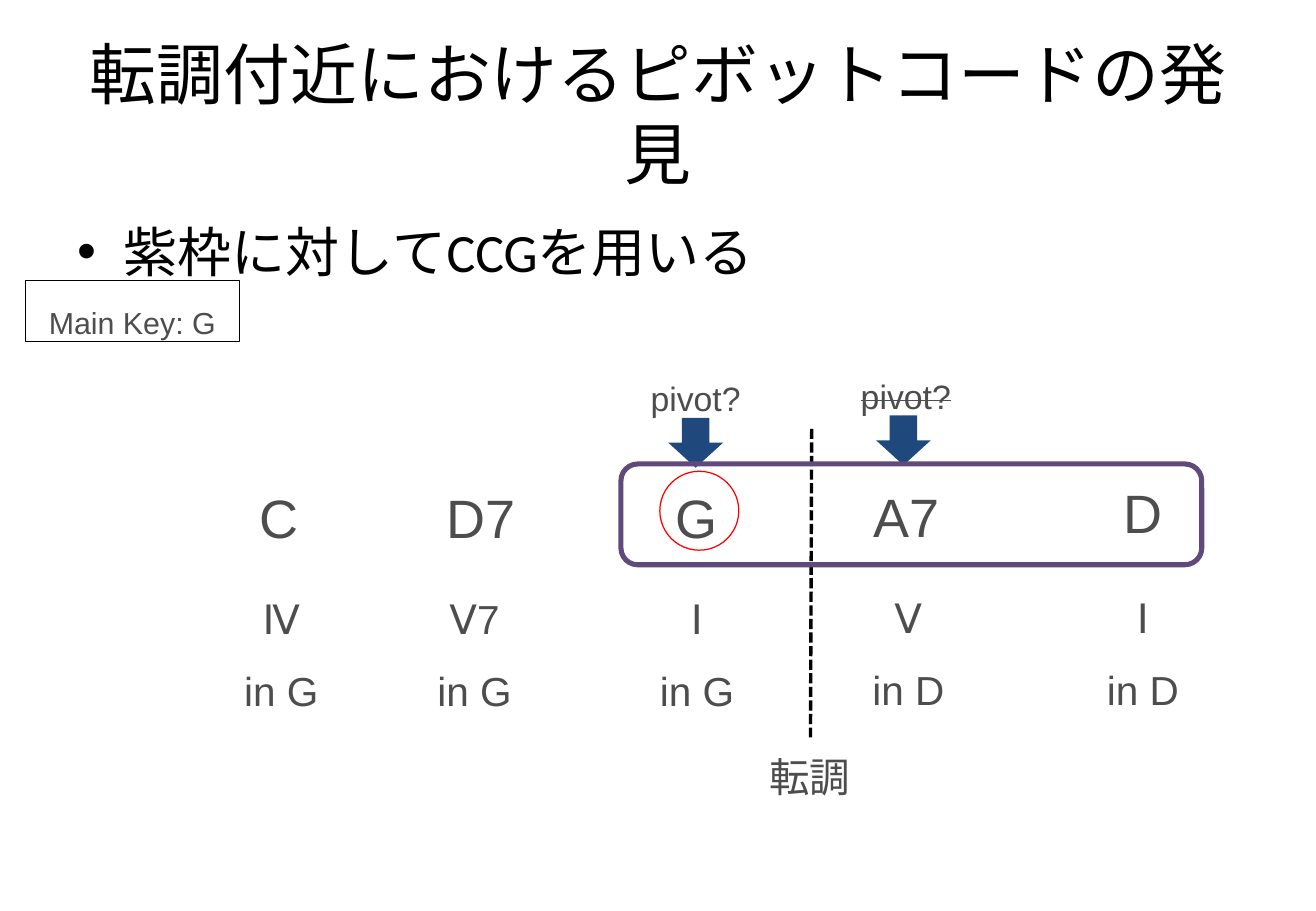
import pptx
import pptx.dml.color
import pptx.enum.dml
import pptx.enum.lang
import pptx.enum.shapes
import pptx.enum.text
import pptx.oxml
import pptx.oxml.ns
import pptx.util

RGBColor = pptx.dml.color.RGBColor
Pt = pptx.util.Pt
PresetShape = pptx.enum.shapes.MSO_SHAPE
Align = pptx.enum.text.PP_ALIGN
Anchor = pptx.enum.text.MSO_ANCHOR

BLACK = RGBColor(0x00, 0x00, 0x00)
GREY = RGBColor(0x4D, 0x4D, 0x4D)
NAVY = RGBColor(0x1F, 0x49, 0x7D)
PURPLE = RGBColor(0x60, 0x4A, 0x7B)
RED = RGBColor(0xFF, 0x00, 0x00)

# The slide is a grid of 108.3 columns by 75 rows, each a tenth of an inch.
COLUMNS, ROWS = 108.3, 75
CHORD_WIDTH, LABEL_WIDTH = 9.7, 18.9

# chord, centre column, row, degree, key, centre column and row of the degree
PROGRESSION = [
    ("C", 22.95, 36.8, "Ⅳ", "in G", 23.15, 46.5),
    ("D7", 39.55, 36.8, "Ⅴ7", "in G", 39.05, 46.5),
    ("G", 57.35, 36.8, "Ⅰ", "in G", 57.35, 46.5),
    ("A7", 74.65, 36.7, "Ⅴ", "in D", 74.75, 46.4),
    ("D", 94.05, 36.4, "Ⅰ", "in D", 94.05, 46.4),
]


def grid(units):
    return pptx.util.Inches(units / 10)


def box(left, top, width, height):
    return [grid(units) for units in (left, top, width, height)]


def add_run(paragraph, text, size, face, colour):
    run = paragraph.add_run()
    run.text = text
    run.font.size = Pt(size)
    run.font.name = face
    run.font.color.rgb = colour
    if not text.isascii():
        run.font.language_id = pptx.enum.lang.MSO_LANGUAGE_ID.JAPANESE
    return run


def add_heading(slide, area, text, size, anchor):
    """Add Calibri text and return its paragraph."""
    frame = slide.shapes.add_textbox(*box(*area)).text_frame
    frame.word_wrap = True
    frame.vertical_anchor = anchor
    paragraph = frame.paragraphs[0]
    add_run(paragraph, text, size, "Calibri", BLACK)
    return paragraph


def add_bullet(paragraph, indent):
    properties = paragraph._p.get_or_add_pPr()
    properties.set("marL", str(indent))
    properties.set("indent", str(-indent))
    namespaces = pptx.oxml.ns.nsdecls("a")
    for tag in ('buFont typeface="Arial"', 'buChar char="•"'):
        properties.append(pptx.oxml.parse_xml(f"<a:{tag} {namespaces}/>"))


def write_lines(frame, lines, size):
    """Write centred grey lines and return their runs."""
    frame.word_wrap = True
    frame.vertical_anchor = Anchor.TOP
    gap = size / 10
    frame.margin_top = Pt(3.6 + gap)
    runs = []
    for index, line in enumerate(lines):
        paragraph = frame.add_paragraph() if index else frame.paragraphs[0]
        paragraph.alignment = Align.CENTER
        paragraph.line_spacing = 1.4
        if index:
            paragraph.space_before = Pt(gap)
        runs.append(add_run(paragraph, line, size, "Arial", GREY))
    return runs


def add_label(slide, centre, top, width, height, lines, size):
    area = box(centre - width / 2, top, width, height)
    return write_lines(slide.shapes.add_textbox(*area).text_frame, lines, size)


def add_outline(slide, kind, area, colour, weight):
    outline = slide.shapes.add_shape(kind, *box(*area))
    outline.shadow.inherit = False
    outline.fill.background()
    outline.line.color.rgb = colour
    outline.line.width = Pt(weight)
    return outline


def add_pivot_arrow(slide, left, top):
    arrow = slide.shapes.add_shape(PresetShape.DOWN_ARROW, *box(left, top, 4.5, 4.1))
    arrow.shadow.inherit = False
    arrow.fill.solid()
    arrow.fill.fore_color.rgb = NAVY
    arrow.line.fill.background()


def add_modulation_line(slide):
    ends = [grid(units) for units in (66.8, 35.3, 66.7, 60.7)]
    border = slide.shapes.add_connector(pptx.enum.shapes.MSO_CONNECTOR.STRAIGHT, *ends)
    border.line.color.rgb = BLACK
    border.line.width = Pt(2)
    border.line.dash_style = pptx.enum.dml.MSO_LINE.SQUARE_DOT
    namespaces = pptx.oxml.ns.nsdecls("a")
    border._element.spPr.append(pptx.oxml.parse_xml(f"<a:effectLst {namespaces}/>"))


def main():
    deck = pptx.Presentation()
    deck.slide_width, deck.slide_height = grid(COLUMNS), grid(ROWS)
    slide = deck.slides.add_slide(deck.slide_layouts[6])

    title = add_heading(slide, (5.4, 3, 97.5, 12.5),
                        "転調付近におけるピボットコードの発見", 39.6, Anchor.MIDDLE)
    title.alignment = Align.CENTER
    method = add_heading(slide, (5.4, 17.5, 97.5, 49.5),
                         "紫枠に対してCCGを用いる", 32, Anchor.TOP)
    add_bullet(method, grid(3.8))

    for chord, centre, row, degree, key, degree_centre, degree_row in PROGRESSION:
        add_label(slide, centre, row, CHORD_WIDTH, 8.2, [chord], 32)
        add_label(slide, degree_centre, degree_row, LABEL_WIDTH, 12.5, [degree, key], 24)

    main_key = add_outline(slide, PresetShape.RECTANGLE, (2.1, 23.1, 17.6, 5), BLACK, 0.75)
    write_lines(main_key.text_frame, ["Main Key: G"], 18)

    add_modulation_line(slide)
    add_label(slide, 66.65, 59.5, LABEL_WIDTH, 6.4, ["転調"], 24)

    add_pivot_arrow(slide, 55, 34.4)
    add_pivot_arrow(slide, 72.1, 34.2)
    add_outline(slide, PresetShape.ROUNDED_RECTANGLE, (51.1, 38.2, 47.8, 8.3), PURPLE, 3)
    add_outline(slide, PresetShape.OVAL, (54.3, 38.8, 6.5, 6.5), RED, 0.75)

    add_label(slide, 57.25, 29, LABEL_WIDTH, 5.5, ["pivot?"], 20)
    rejected, = add_label(slide, 74.55, 28.8, LABEL_WIDTH, 5.5, ["pivot?"], 20)
    rejected.font._element.set("strike", "sngStrike")

    deck.save("out.pptx")


if __name__ == "__main__":
    main()
